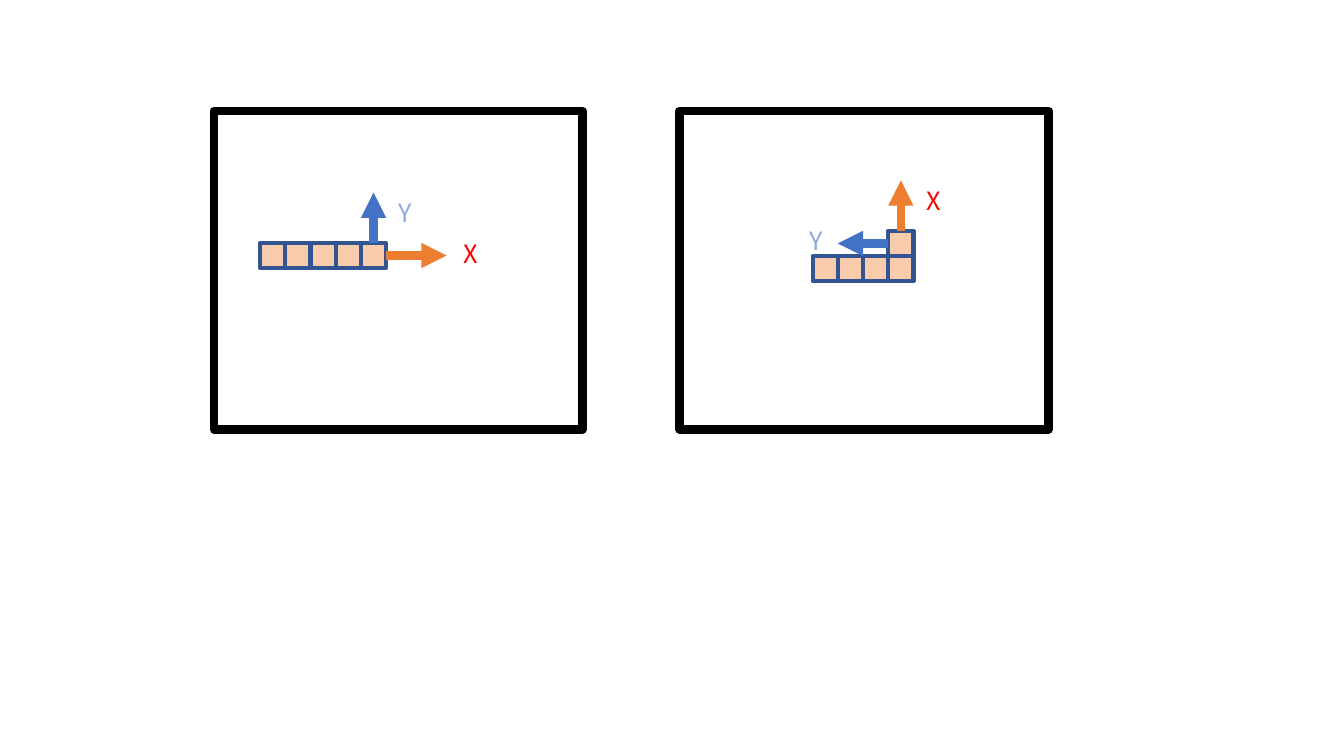
from pptx import Presentation, util as u
from pptx.dml.color import RGBColor
from pptx.enum import shapes, text
from pptx.oxml import parse_xml
from pptx.oxml.ns import nsdecls, qn

BLACK = RGBColor(0, 0, 0)
PEACH = RGBColor(0xF8, 0xCB, 0xAD)
NAVY = RGBColor(0x32, 0x54, 0x91)
ORANGE = RGBColor(0xED, 0x7D, 0x31)
BLUE = RGBColor(0x44, 0x72, 0xC4)
RED = RGBColor(0xFF, 0, 0)
PALE_BLUE = RGBColor(0x8F, 0xAA, 0xDC)
FONT = "Noto Sans CJK JP"
CELL = 0.25

deck = Presentation()
deck.slide_width, deck.slide_height = u.Inches(13.33), u.Inches(7.5)
page = deck.slides.add_slide(deck.slide_layouts[6])


def add_square(left, top, width, height, line, weight, fill=None):
    square = page.shapes.add_shape(
        shapes.MSO_SHAPE.RECTANGLE, *map(u.Inches, (left, top, width, height)))
    square.shadow.inherit = False
    if fill is None:
        square.fill.background()
    else:
        square.fill.solid()
        square.fill.fore_color.rgb = fill
    square.line.color.rgb = line
    square.line.width = u.Pt(weight)


def add_label(content, left, top, width, color, wrap, size=18, font=FONT):
    box = page.shapes.add_textbox(*map(u.Inches, (left, top, width, 0.4)))
    box.text_frame.word_wrap = wrap
    box.text_frame.auto_size = text.MSO_AUTO_SIZE.SHAPE_TO_FIT_TEXT
    span = box.text_frame.paragraphs[0].add_run()
    span.text = content
    span.font.size = u.Pt(size)
    span.font.name = font
    span.font.color.rgb = color
    span.font._element.append(parse_xml(f'<a:ea {nsdecls("a")} typeface="{font}"/>'))


panels = [
    dict(frame=2.12, origin=(2.58, 2.41),
         snake=[(0, 0), (1, 0), (2, 0), (3, 0), (4, 0)],
         x_axis=(5, 0.5, 7.4, 0.5), y_axis=(4.5, 0, 4.5, -2),
         x_label=(7.68, -0.36), y_label=(5.08, -2)),
    dict(frame=6.74, origin=(8.06, 2.54),
         snake=[(0, 0), (1, 0), (2, 0), (3, 0), (3, -1)],
         x_axis=(3.5, -1, 3.5, -3), y_axis=(3, -0.5, 1, -0.5),
         x_label=(4.12, -3), y_label=(-0.52, -1.4)),
]

for panel in panels:
    left, top = panel["origin"]
    add_square(panel["frame"], 1.1, 3.66, 3.16, BLACK, 6)
    for column, row in panel["snake"]:
        add_square(left + column * CELL, top + row * CELL, CELL, CELL, NAVY, 3, PEACH)
    for axis, color in (("x_axis", ORANGE), ("y_axis", BLUE)):
        x1, y1, x2, y2 = panel[axis]
        arrow = page.shapes.add_connector(
            shapes.MSO_CONNECTOR.STRAIGHT,
            u.Inches(left + x1 * CELL), u.Inches(top + y1 * CELL),
            u.Inches(left + x2 * CELL), u.Inches(top + y2 * CELL))
        arrow.line.color.rgb = color
        arrow.line.width = u.Pt(6)
        arrow.line._get_or_add_ln().append(
            parse_xml(f'<a:tailEnd {nsdecls("a")} type="triangle"/>'))
        arrow._element.find(qn("p:spPr")).append(
            parse_xml(f'<a:effectLst {nsdecls("a")}/>'))
    for content, key, width, color, wrap in (
            ("X", "x_label", 0.36, RED, False), ("Y", "y_label", 0.67, PALE_BLUE, True)):
        column, row = panel[key]
        add_label(content, left + column * CELL, top + row * CELL, width, color, wrap)

deck.save("out.pptx")
